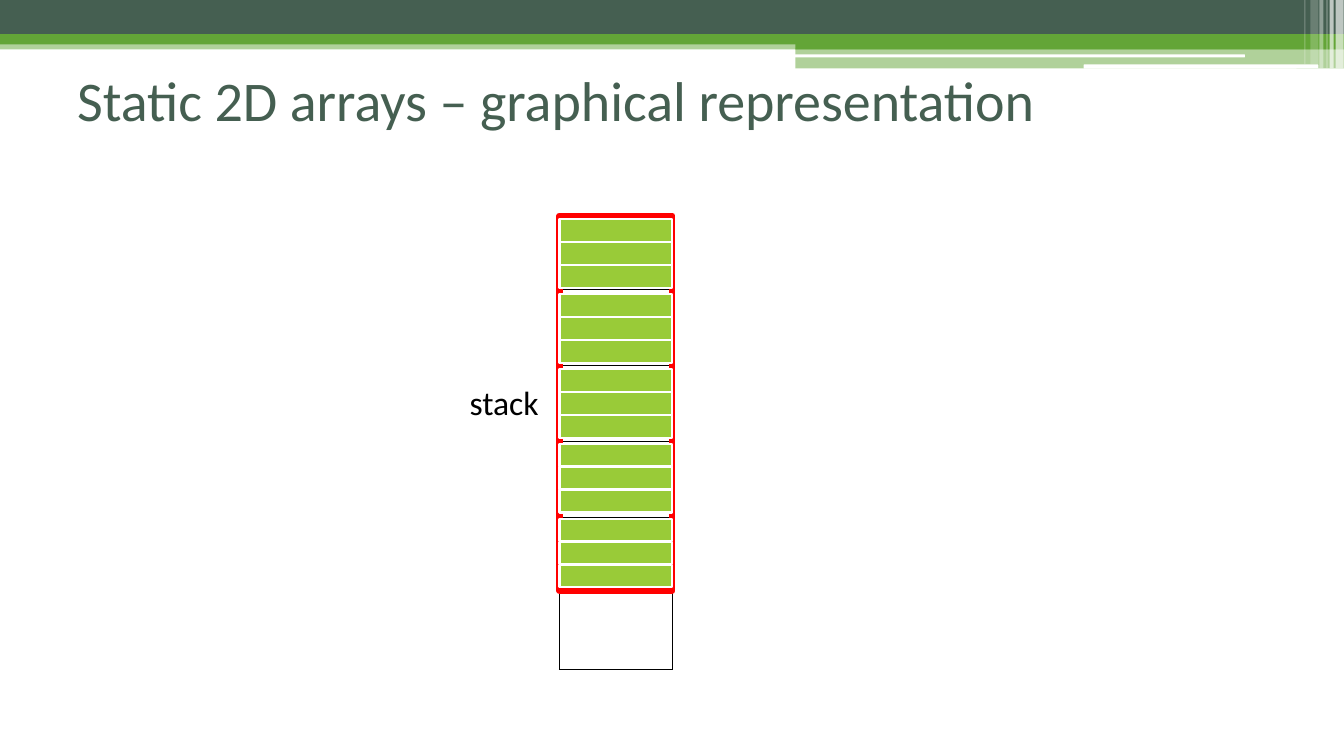
from dataclasses import dataclass

from lxml.etree import SubElement
from pptx import Presentation
from pptx.dml.color import RGBColor
from pptx.enum.shapes import MSO_SHAPE
from pptx.enum.text import MSO_ANCHOR
from pptx.oxml import parse_xml
from pptx.oxml.ns import nsdecls, qn
from pptx.util import Inches, Pt


@dataclass(frozen=True)
class Theme:
    font: str = "Calibri"
    dark: str = "455F51"
    green: str = "63A537"
    lime: str = "99CB38"
    white: str = "FFFFFF"
    black: str = "000000"
    red: str = "FF0000"
    title: int = 40
    label: int = 24


class Deck:
    """Slide on a grid of square cells, ten to the inch."""
    cell = Inches(0.1)

    def __init__(self, theme, cols, rows):
        self.theme = theme
        self.file = Presentation()
        self.file.slide_width = self.size(cols)
        self.file.slide_height = self.size(rows)
        self.slide = self.file.slides.add_slide(self.file.slide_layouts[6])

    def size(self, cells):
        return round(cells * self.cell)

    def place(self, box):
        return [self.size(n) for n in box]

    def rect(self, box, fill=None, alpha=100, line=None, width=0,
             kind=MSO_SHAPE.RECTANGLE, group=None):
        home = (group or self.slide).shapes
        shape = home.add_shape(kind, *self.place(box))
        shape.shadow.inherit = False
        if fill:
            shape.fill.solid()
            shape.fill.fore_color.rgb = RGBColor.from_string(fill)
            if alpha < 100:
                color = shape.fill._xPr.find(qn("a:solidFill"))[0]
                SubElement(color, qn("a:alpha")).set("val", str(alpha * 1000))
        else:
            shape.fill.background()
        if line:
            shape.line.color.rgb = RGBColor.from_string(line)
            shape.line.width = Pt(width)
        else:
            shape.line.fill.background()

    def text(self, box, words, size, color, wrap=True):
        frame = self.slide.shapes.add_textbox(*self.place(box)).text_frame
        frame.word_wrap = wrap
        frame.vertical_anchor = MSO_ANCHOR.MIDDLE
        run = frame.paragraphs[0].add_run()
        run.text = words
        run.font.name = self.theme.font
        run.font.size = Pt(size)
        run.font.color.rgb = RGBColor.from_string(color)

    def table(self, box, rows):
        grid = self.slide.shapes.add_table(rows, 1, *self.place(box)).table
        grid.first_row = grid.horz_banding = False
        for cell in grid.iter_cells():
            props = cell._tc.get_or_add_tcPr()
            for side in ("lnL", "lnR", "lnT", "lnB"):
                props.append(parse_xml(
                    f'<a:{side} {nsdecls("a")} w="12700"><a:solidFill>'
                    f'<a:srgbClr val="{self.theme.black}"/>'
                    f'</a:solidFill></a:{side}>'))
            cell.fill.solid()
            cell.fill.fore_color.rgb = RGBColor.from_string(self.theme.white)

    def group(self):
        return self.slide.shapes.add_group_shape()


def main():
    look = Theme()
    wide, high = 133.33, 75
    deck = Deck(look, wide, high)

    # Header bands
    half = 78.9
    deck.rect((0, 4, wide, 0.9), look.green, 50)
    deck.rect((0, 0, wide, 3.4), look.dark)
    deck.rect((0, 3.4, wide, 1), look.green)
    deck.rect((half, 3.9, wide - half, 1), look.green)
    deck.rect((half, 4.8, wide - half, 2), look.green, 50)
    for box in ((78.8, 5.4, 44.7, 0.3), (107.5, 6.4, 23.3, 0.4)):
        deck.rect(box, look.white, kind=MSO_SHAPE.ROUNDED_RECTANGLE)

    # Pale stripes at the right edge: left, width, height, opacity
    stripes = ((132.5, 0.8, 6.8, 65), (131.9, 0.4, 6.8, 65),
               (131.6, 0.1, 6.8, 60), (130.9, 0.4, 6.8, 40),
               (130, 0.8, 6.4, 20), (129.4, 0.1, 6.4, 30))
    for left, width, tall, alpha in stripes:
        deck.rect((left, 0, width, tall), look.white, alpha)

    # Title
    deck.text((6.67, 4, 120, 11.7),
              "Static 2D arrays – graphical representation",
              look.title, look.dark)

    # Stack memory, with the array outlined
    left, width = 55.5, 11.2
    deck.table((left, 21.2, width, 45.2), 6)
    deck.text((45.6, 37.4, 8.9, 5), "stack", look.label, look.black, wrap=False)
    deck.rect((left, 21.4, width, 37.2), line=look.red, width=4.5)

    # Five array rows of three items each
    top, pitch, step, tall = 21.75, 7.43, 2.28, 2.25
    for row in range(5):
        group = deck.group()
        for item in range(3):
            deck.rect((left, top + row * pitch + item * step, width, tall),
                      look.lime, line=look.white, width=1.5, group=group)

    deck.file.save("out.pptx")


if __name__ == "__main__":
    main()
